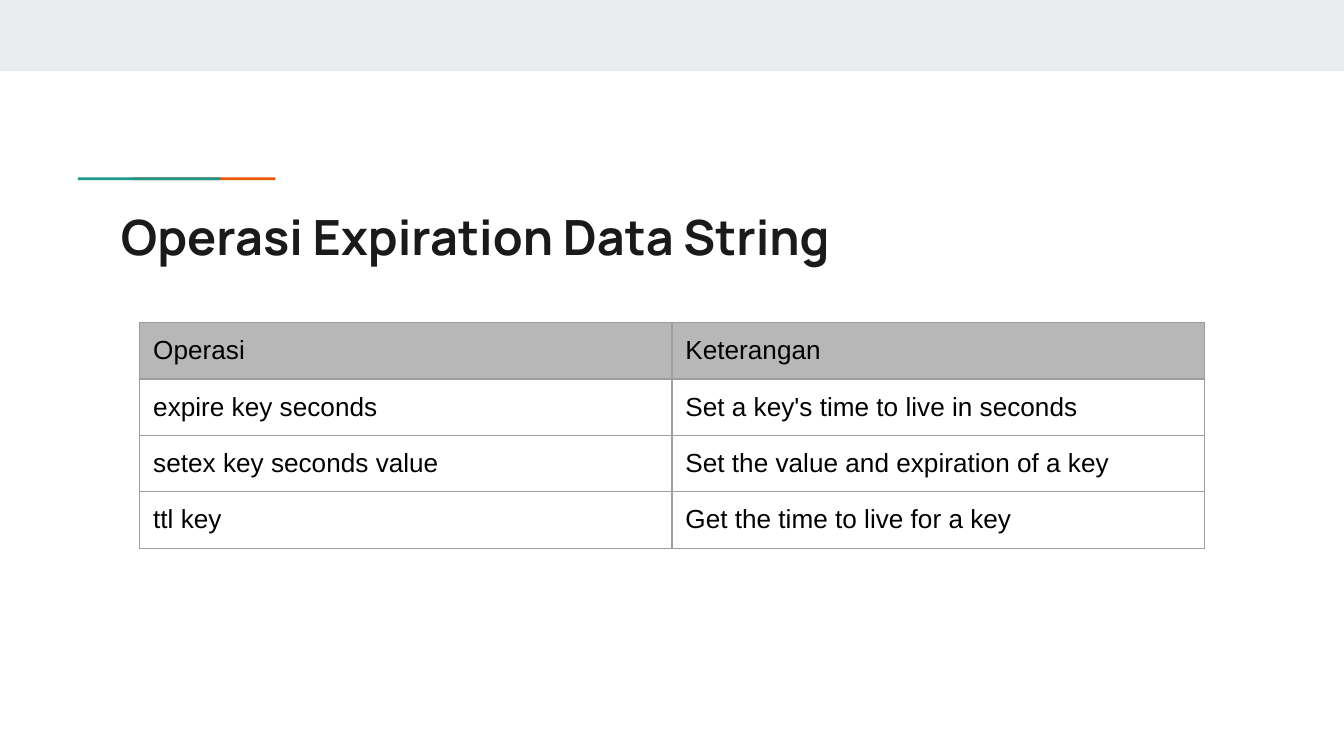
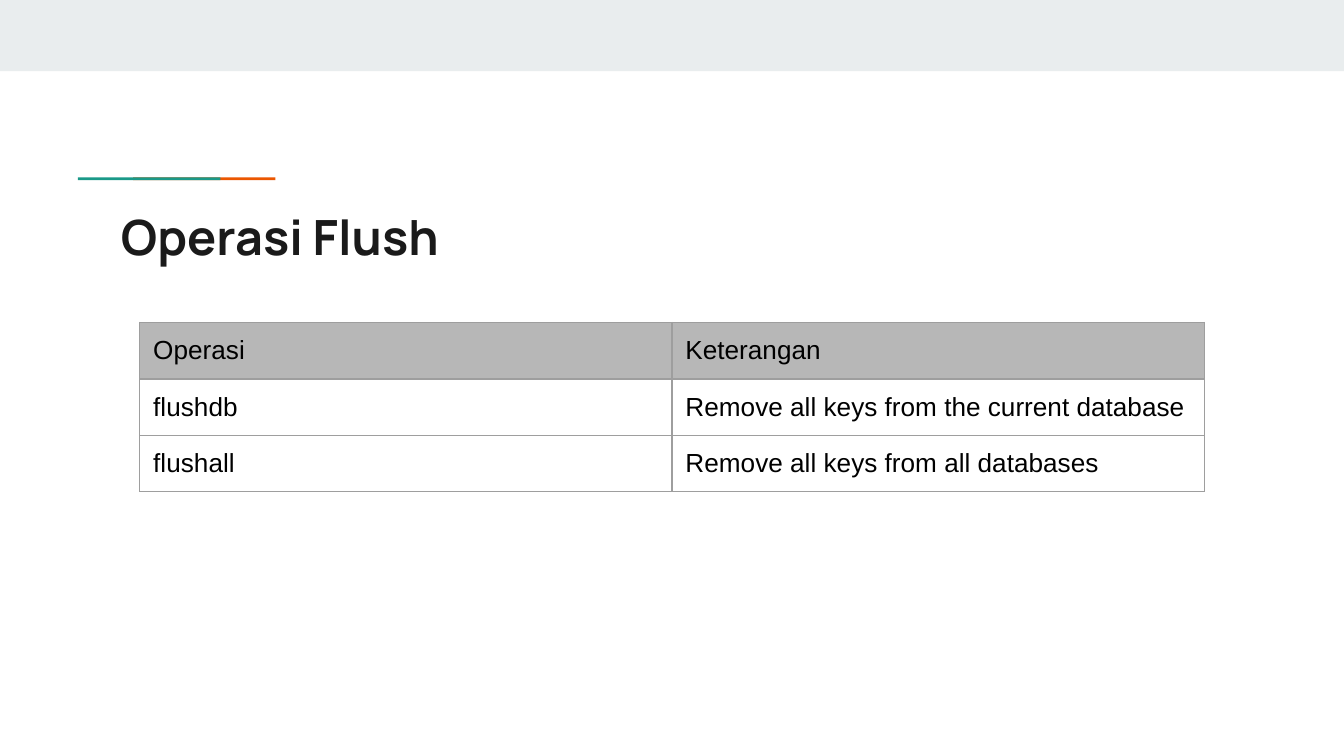
"""Build two slides that list key-value store operations in tables."""
from dataclasses import dataclass

from lxml import etree
from pptx import Presentation
from pptx import util as u
from pptx.dml.color import RGBColor
from pptx.enum import shapes, text
from pptx.oxml import ns

BAND = RGBColor(0xE9, 0xED, 0xEE)
ORANGE = RGBColor(0xEB, 0x56, 0x00)
TEAL = RGBColor(0x1A, 0x99, 0x88)
INK = RGBColor(0x1A, 0x1A, 0x1A)
BLACK = RGBColor(0x00, 0x00, 0x00)
HEADER = RGBColor(0xB7, 0xB7, 0xB7)
BORDER = RGBColor(0x9E, 0x9E, 0x9E)

PAGE_WIDTH = u.Inches(10)
PAGE_HEIGHT = PAGE_WIDTH * 9 // 16
INSET = u.Inches(0.1)
COLUMN_WIDTH = u.Inches(3.96)
ROW_HEIGHT = u.Inches(0.42)
HEADINGS = ("Operasi", "Keterangan")


@dataclass(frozen=True)
class Bar:
    """A plain filled rectangle, in inches."""

    left: float
    top: float
    width: float
    height: float
    color: RGBColor


@dataclass(frozen=True)
class OperationSlide:
    """A title and its operations with their descriptions."""

    title: str
    operations: tuple[tuple[str, str], ...]


BARS = (
    Bar(0, 0, 10, 0.53, BAND),
    Bar(0.99, 1.32, 1.06, 0.02, ORANGE),
    Bar(0.58, 1.32, 1.06, 0.02, TEAL),
)

SLIDES = (
    OperationSlide("Operasi Expiration Data String", (
        ("expire key seconds", "Set a key's time to live in seconds"),
        ("setex key seconds value", "Set the value and expiration of a key"),
        ("ttl key", "Get the time to live for a key"),
    )),
    OperationSlide("Operasi Flush", (
        ("flushdb", "Remove all keys from the current database"),
        ("flushall", "Remove all keys from all databases"),
    )),
)


def write(frame, words: str, *, font: str, size: float, color: RGBColor,
          bold: bool = False) -> None:
    """Put one left-aligned formatted paragraph in a text frame."""
    para = frame.paragraphs[0]
    para.alignment = text.PP_ALIGN.LEFT
    span = para.add_run()
    span.text = words
    span.font.name = font
    span.font.size = u.Pt(size)
    span.font.bold = bold
    span.font.color.rgb = color


def set_insets(box) -> None:
    """Give a text frame or cell equal margins."""
    box.margin_left = box.margin_right = INSET
    box.margin_top = box.margin_bottom = INSET


def draw_bar(page, bar: Bar) -> None:
    """Draw a filled rectangle without outline or shadow."""
    box = page.shapes.add_shape(
        shapes.MSO_SHAPE.RECTANGLE, u.Inches(bar.left), u.Inches(bar.top),
        u.Inches(bar.width), u.Inches(bar.height))
    box.shadow.inherit = False
    box.fill.solid()
    box.fill.fore_color.rgb = bar.color
    box.line.fill.background()


def draw_title(page, words: str) -> None:
    """Place and format the title placeholder."""
    box = page.shapes.title
    box.left, box.top = u.Inches(0.8), u.Inches(1.44)
    box.width, box.height = u.Inches(8.41), u.Inches(0.59)
    frame = box.text_frame
    frame.word_wrap = True
    frame.auto_size = text.MSO_AUTO_SIZE.NONE
    frame.vertical_anchor = text.MSO_ANCHOR.TOP
    set_insets(frame)
    write(frame, words, font="Manrope", size=26, color=INK, bold=True)


def set_borders(cell) -> None:
    """Outline a cell, placing the lines ahead of its fill."""
    properties = cell._tc.get_or_add_tcPr()
    for index, side in enumerate(("lnL", "lnR", "lnT", "lnB")):
        line = etree.Element(ns.qn(f"a:{side}"), w=str(u.Pt(0.75)))
        fill = etree.SubElement(line, ns.qn("a:solidFill"))
        etree.SubElement(fill, ns.qn("a:srgbClr"), val=str(BORDER))
        properties.insert(index, line)


def draw_table(page, rows: tuple[tuple[str, str], ...]) -> None:
    """Draw a bordered table with a grey first row."""
    table = page.shapes.add_table(
        len(rows), len(HEADINGS), u.Inches(1.04), u.Inches(2.4),
        COLUMN_WIDTH * len(HEADINGS), ROW_HEIGHT * len(rows)).table
    table.horz_banding = False
    for column in table.columns:
        column.width = COLUMN_WIDTH
    for row_index, values in enumerate(rows):
        table.rows[row_index].height = ROW_HEIGHT
        for column_index, words in enumerate(values):
            cell = table.cell(row_index, column_index)
            set_insets(cell)
            if row_index == 0:
                cell.fill.solid()
                cell.fill.fore_color.rgb = HEADER
            else:
                cell.fill.background()
            set_borders(cell)
            write(cell.text_frame, words, font="Arial", size=14, color=BLACK)


def main() -> None:
    """Build and save the deck."""
    deck = Presentation()
    deck.slide_width, deck.slide_height = PAGE_WIDTH, PAGE_HEIGHT
    title_only = deck.slide_layouts.get_by_name("Title Only")
    for content in SLIDES:
        page = deck.slides.add_slide(title_only)
        for bar in BARS:
            draw_bar(page, bar)
        draw_title(page, content.title)
        draw_table(page, (HEADINGS, *content.operations))
    deck.save("out.pptx")


if __name__ == "__main__":
    main()
